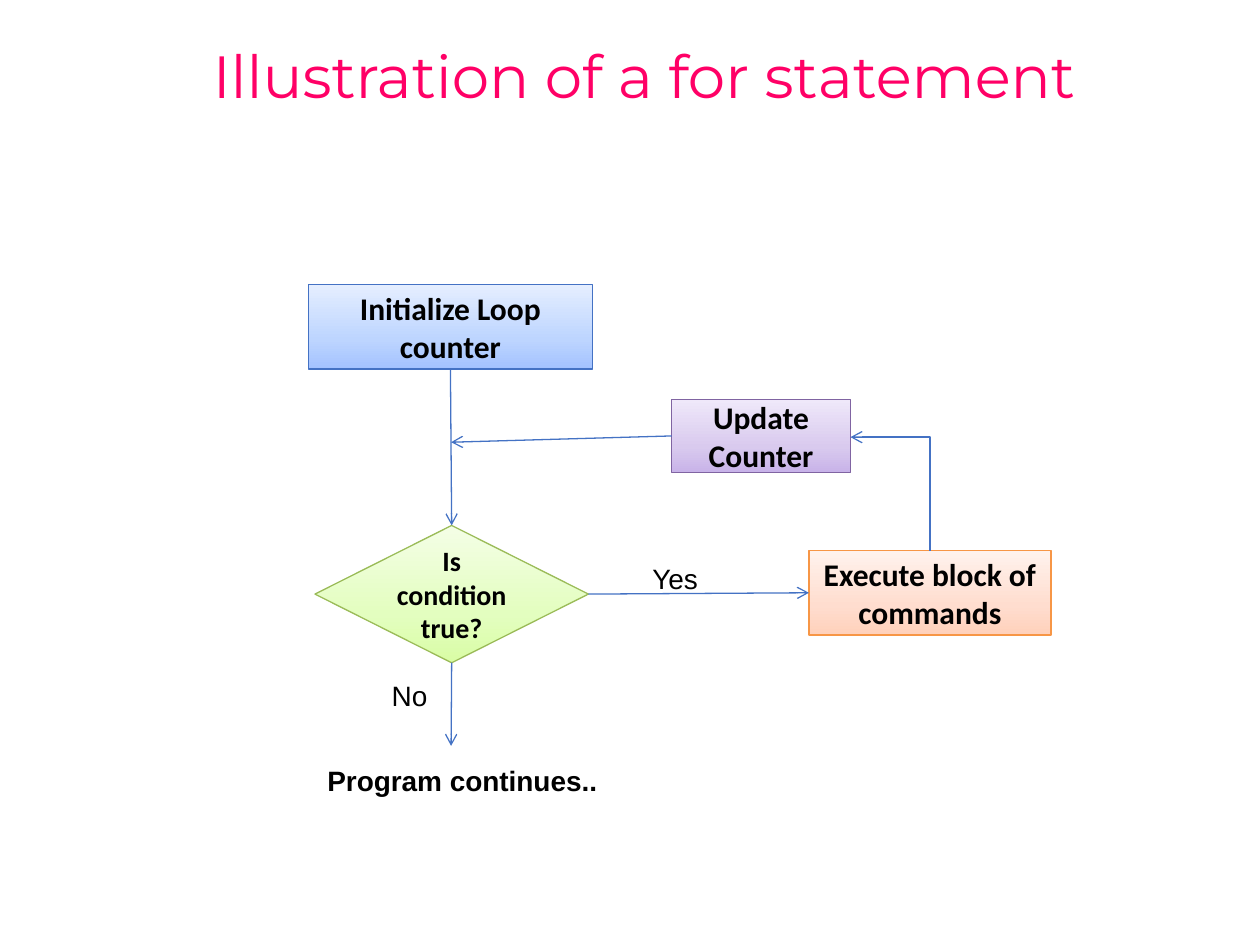
from copy import deepcopy
from dataclasses import dataclass

from pptx import Presentation
from pptx.dml.color import RGBColor
from pptx.enum.shapes import MSO_CONNECTOR, MSO_SHAPE
from pptx.enum.text import MSO_ANCHOR, PP_ALIGN
from pptx.oxml.ns import qn
from pptx.util import Inches, Pt
from lxml import etree

TOP, LEFT, BOTTOM, RIGHT = range(4)


@dataclass(frozen=True)
class Theme:
    title_font: str = "Montserrat"
    box_font: str = "Calibri"
    label_font: str = "Arial"
    title_size: int = 34
    box_size: int = 18
    label_size: int = 16
    line_width: float = 0.75
    title: str = "FF0066"
    text: str = "000000"
    arrow: str = "4472C4"
    blue: tuple = ("4472C4", "A3C2FF", "BDD5FF", "E5EEFF")
    green: tuple = ("9BBB59", "D9FDA5", "E3FEBF", "F4FEE6")
    purple: tuple = ("8064A2", "C8B3E9", "D9CAEE", "EFE8FA")
    orange: tuple = ("F79646", "FFD1BB", "FFDDCF", "FFF2ED")
    stops: tuple = (0, 0.35, 1)


class FlowSlide:
    def __init__(self, slide, theme):
        self.shapes = slide.shapes
        self.theme = theme

    def add_text(self, frame, text, font, size, color, bold=False):
        paragraph = frame.paragraphs[0]
        run = paragraph.add_run()
        run.text = text
        run.font.name = font
        run.font.size = Pt(size)
        run.font.bold = bold
        run.font.color.rgb = RGBColor.from_string(color)
        return paragraph

    def title(self, text, *area):
        frame = self.shapes.add_textbox(*map(Inches, area)).text_frame
        frame.word_wrap = True
        frame.vertical_anchor = MSO_ANCHOR.MIDDLE
        theme = self.theme
        paragraph = self.add_text(frame, text, theme.title_font, theme.title_size, theme.title)
        paragraph.line_spacing = 0.9

    def label(self, text, *area, bold=False):
        frame = self.shapes.add_textbox(*map(Inches, area)).text_frame
        frame.word_wrap = False
        theme = self.theme
        self.add_text(frame, text, theme.label_font, theme.label_size, theme.text, bold)

    def box(self, text, palette, *area, kind=MSO_SHAPE.FLOWCHART_PROCESS, size=None):
        theme = self.theme
        outline, *gradient = palette
        shape = self.shapes.add_shape(kind, *map(Inches, area))
        shape.shadow.inherit = False
        shape.line.color.rgb = RGBColor.from_string(outline)
        shape.line.width = Pt(theme.line_width)
        shape.fill.gradient()
        shape.fill.gradient_angle = 90
        stop_list = shape._element.spPr.find(qn("a:gradFill")).find(qn("a:gsLst"))
        stop_list.append(deepcopy(stop_list[0]))
        for stop, color, position in zip(shape.fill.gradient_stops, gradient, theme.stops):
            stop.color.rgb = RGBColor.from_string(color)
            stop.position = position
        frame = shape.text_frame
        frame.word_wrap = True
        frame.vertical_anchor = MSO_ANCHOR.MIDDLE
        paragraph = self.add_text(frame, text, theme.box_font, size or theme.box_size,
                                  theme.text, bold=True)
        paragraph.alignment = PP_ALIGN.CENTER
        return shape

    def connector(self, kind, start, end):
        line = self.shapes.add_connector(kind, *map(Inches, start + end))
        line.line.color.rgb = RGBColor.from_string(self.theme.arrow)
        line.line.width = Pt(self.theme.line_width)
        properties = line._element.spPr
        etree.SubElement(properties.find(qn("a:ln")), qn("a:tailEnd"), type="arrow")
        etree.SubElement(properties, qn("a:effectLst"))
        return line

    def arrow(self, source, site, target=None, target_site=TOP, point=(0, 0)):
        line = self.connector(MSO_CONNECTOR.STRAIGHT, (0, 0), point)
        line.begin_connect(source, site)
        if target is not None:
            line.end_connect(target, target_site)

    def up_then_left(self, start, end):
        middle_x, middle_y = (start[0] + end[0]) / 2, (start[1] + end[1]) / 2
        half_rise, half_run = (start[1] - end[1]) / 2, (start[0] - end[0]) / 2
        line = self.connector(MSO_CONNECTOR.ELBOW,
                              (middle_x - half_rise, middle_y + half_run),
                              (middle_x + half_rise, middle_y - half_run))
        properties = line._element.spPr
        properties.find(qn("a:prstGeom")).set("prst", "bentConnector2")
        properties.find(qn("a:xfrm")).set("rot", str(270 * 60000))


theme = Theme()
deck = Presentation()
deck.slide_width, deck.slide_height = Inches(10), Inches(7.5)
flow = FlowSlide(deck.slides.add_slide(deck.slide_layouts[6]), theme)

flow.title("Illustration of a for statement", 1.59, 0.01, 8.41, 1.24)
initialize = flow.box("Initialize Loop counter", theme.blue, 2.45, 2.26, 2.25, 0.67)
condition = flow.box("Is condition true?", theme.green, 2.5, 4.17, 2.17, 1.09,
                     kind=MSO_SHAPE.FLOWCHART_DECISION, size=theme.label_size)
update = flow.box("Update Counter", theme.purple, 5.33, 3.17, 1.42, 0.58)
execute = flow.box("Execute block of commands", theme.orange, 6.42, 4.37, 1.92, 0.67)

flow.arrow(condition, RIGHT, execute, LEFT)
flow.arrow(initialize, BOTTOM, condition, TOP)
flow.arrow(condition, BOTTOM, point=(3.58, 5.92))
flow.up_then_left((7.38, 4.37), (6.75, 3.47))
flow.arrow(update, LEFT, point=(3.58, 3.51))

flow.label("Yes", 5.08, 4.41, 0.57, 0.37)
flow.label("No", 3.01, 5.34, 0.49, 0.37)
flow.label("Program continues..", 2.5, 6.01, 2.37, 0.37, bold=True)

deck.save("out.pptx")
